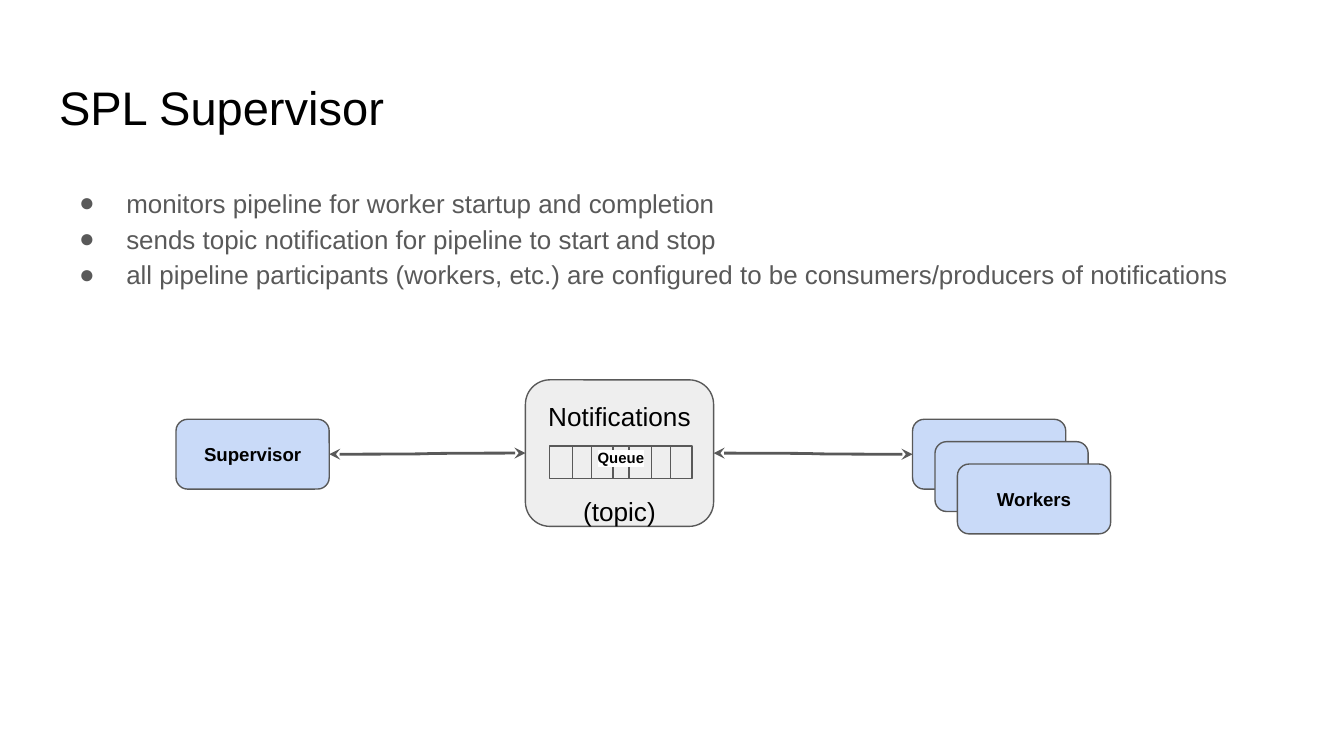
from dataclasses import dataclass

from pptx import Presentation
from pptx.dml.color import RGBColor
from pptx.enum.shapes import MSO_CONNECTOR, MSO_SHAPE
from pptx.enum.text import MSO_ANCHOR, PP_ALIGN
from pptx.oxml.ns import qn
from pptx.util import Inches, Pt
from lxml.etree import SubElement

WIDE = 10
HIGH = WIDE * 9 / 16
BLACK, GREY, WHITE = "000000", "595959", "FFFFFF"
PALE, BLUE = "EEEEEE", "C9DAF8"
STEP_X, STEP_Y = 1.67, 2.96
CELLS = (40.9, 42.6, 44, 45.6)
POINTS = [
    "monitors pipeline for worker startup and completion",
    "sends topic notification for pipeline to start and stop",
    "all pipeline participants (workers, etc.) are configured to be "
    "consumers/producers of notifications",
]


@dataclass
class Area:
    """A place on a grid of 100 columns by 100 rows."""
    col: float
    row: float
    cols: float
    rows: float

    def place(self) -> list:
        """Give left, top, width and height as lengths."""
        sides = (WIDE, HIGH, WIDE, HIGH)
        cells = (self.col, self.row, self.cols, self.rows)
        return [Inches(side * cell / 100) for side, cell in zip(sides, cells)]


@dataclass
class Style:
    """The look of a run of text."""
    size: float
    color: str = BLACK
    bold: bool = False


def paint(text: str) -> RGBColor:
    """Turn a hex string into a colour."""
    return RGBColor.from_string(text)


def add_text(para, words: str, style: Style):
    """Add one styled run to a paragraph."""
    run = para.add_run()
    run.text = words
    run.font.name = "Arial"
    run.font.size = Pt(style.size)
    run.font.bold = style.bold
    run.font.color.rgb = paint(style.color)
    return run


def set_frame(shape, anchor=MSO_ANCHOR.TOP):
    """Set wrap, anchor and equal margins, and return the frame."""
    frame = shape.text_frame
    frame.word_wrap = True
    frame.vertical_anchor = anchor
    frame.margin_left = frame.margin_right = Inches(0.1)
    frame.margin_top = frame.margin_bottom = Inches(0.1)
    return frame


def add_box(shapes, kind, area: Area, fill: str = ""):
    """Draw an outlined box, filled when a colour is given."""
    box = shapes.add_shape(kind, *area.place())
    box.shadow.inherit = False
    if fill:
        box.fill.solid()
        box.fill.fore_color.rgb = paint(fill)
    else:
        box.fill.background()
    box.line.color.rgb = paint(GREY)
    box.line.width = Pt(0.75)
    return box


def add_node(shapes, area: Area, label: str = ""):
    """Draw a blue rounded node with an optional label."""
    node = add_box(shapes, MSO_SHAPE.ROUNDED_RECTANGLE, area, BLUE)
    if label:
        para = set_frame(node, MSO_ANCHOR.MIDDLE).paragraphs[0]
        para.alignment = PP_ALIGN.CENTER
        add_text(para, label, Style(10, bold=True))
    return node


def add_link(shapes, start, end):
    """Join the right of one box to the left of another."""
    link = shapes.add_connector(MSO_CONNECTOR.CURVE, 0, 0, 0, 0)
    link.begin_connect(start, 3)
    link.end_connect(end, 1)
    link.line.color.rgb = paint(GREY)
    link.line.width = Pt(1.5)
    line = link.line._get_or_add_ln()
    for tag in ("a:headEnd", "a:tailEnd"):
        SubElement(line, qn(tag), type="stealth", w="med", len="med")
    SubElement(link._element.spPr, qn("a:effectLst"))


def add_bullet(para):
    """Give a paragraph a round grey bullet and hanging indent."""
    props = para._p.get_or_add_pPr()
    props.set("marL", str(Inches(0.5)))
    props.set("indent", str(Inches(-0.35)))
    para.line_spacing = 1.15
    tone = SubElement(props, qn("a:buClr"))
    SubElement(tone, qn("a:srgbClr"), val=GREY)
    SubElement(props, qn("a:buFont"), typeface="Arial")
    SubElement(props, qn("a:buChar"), char="●")


def add_head(shapes):
    """Write the title and the bullet list."""
    title = shapes.add_textbox(*Area(3.41, 8.65, 93.2, 11.2).place())
    add_text(set_frame(title).paragraphs[0], "SPL Supervisor", Style(25.2))
    body = shapes.add_textbox(*Area(3.41, 22.4, 93.2, 20.27).place())
    frame = set_frame(body)
    for i, words in enumerate(POINTS):
        para = frame.add_paragraph() if i else frame.paragraphs[0]
        add_bullet(para)
        add_text(para, words, Style(13.9, GREY))


def add_topic(shapes):
    """Draw the notifications box."""
    area = Area(39.1, 50.25, 14, 19.38)
    topic = add_box(shapes, MSO_SHAPE.ROUNDED_RECTANGLE, area, PALE)
    frame = set_frame(topic)
    first, last = frame.paragraphs[0], frame.add_paragraph()
    last.space_before = Pt(34)
    for para, words in ((first, "Notifications"), (last, "(topic)")):
        para.alignment = PP_ALIGN.CENTER
        add_text(para, words, Style(14))
    return topic


def add_queue(shapes):
    """Draw the overlapping queue cells and their label."""
    group = shapes.add_group_shape().shapes
    for col in CELLS:
        add_box(group, MSO_SHAPE.RECTANGLE, Area(col, 59.02, 5.9, 4.27))
    label = group.add_textbox(*Area(41.2, 58.13, 10, 6.04).place())
    para = set_frame(label).paragraphs[0]
    para.alignment = PP_ALIGN.CENTER
    run = add_text(para, "Queue", Style(8, bold=True))
    props = run._r.get_or_add_rPr()
    mark = SubElement(props, qn("a:highlight"))
    SubElement(mark, qn("a:srgbClr"), val=WHITE)
    props.find(qn("a:solidFill")).addnext(mark)


def main():
    """Build and save the slide."""
    deck = Presentation()
    deck.slide_width, deck.slide_height = Inches(WIDE), Inches(HIGH)
    shapes = deck.slides.add_slide(deck.slide_layouts[6]).shapes
    topic = add_topic(shapes)
    add_head(shapes)
    stack = [Area(67.9 + i * STEP_X, 55.47 + i * STEP_Y, 11.4, 9.24)
             for i in range(3)]
    back = add_node(shapes, stack[0])
    boss = add_node(shapes, Area(13.1, 55.47, 11.4, 9.24), "Supervisor")
    add_queue(shapes)
    add_link(shapes, boss, topic)
    add_link(shapes, topic, back)
    add_node(shapes, stack[1])
    add_node(shapes, stack[2], "Workers")
    deck.save("out.pptx")


if __name__ == "__main__":
    main()
